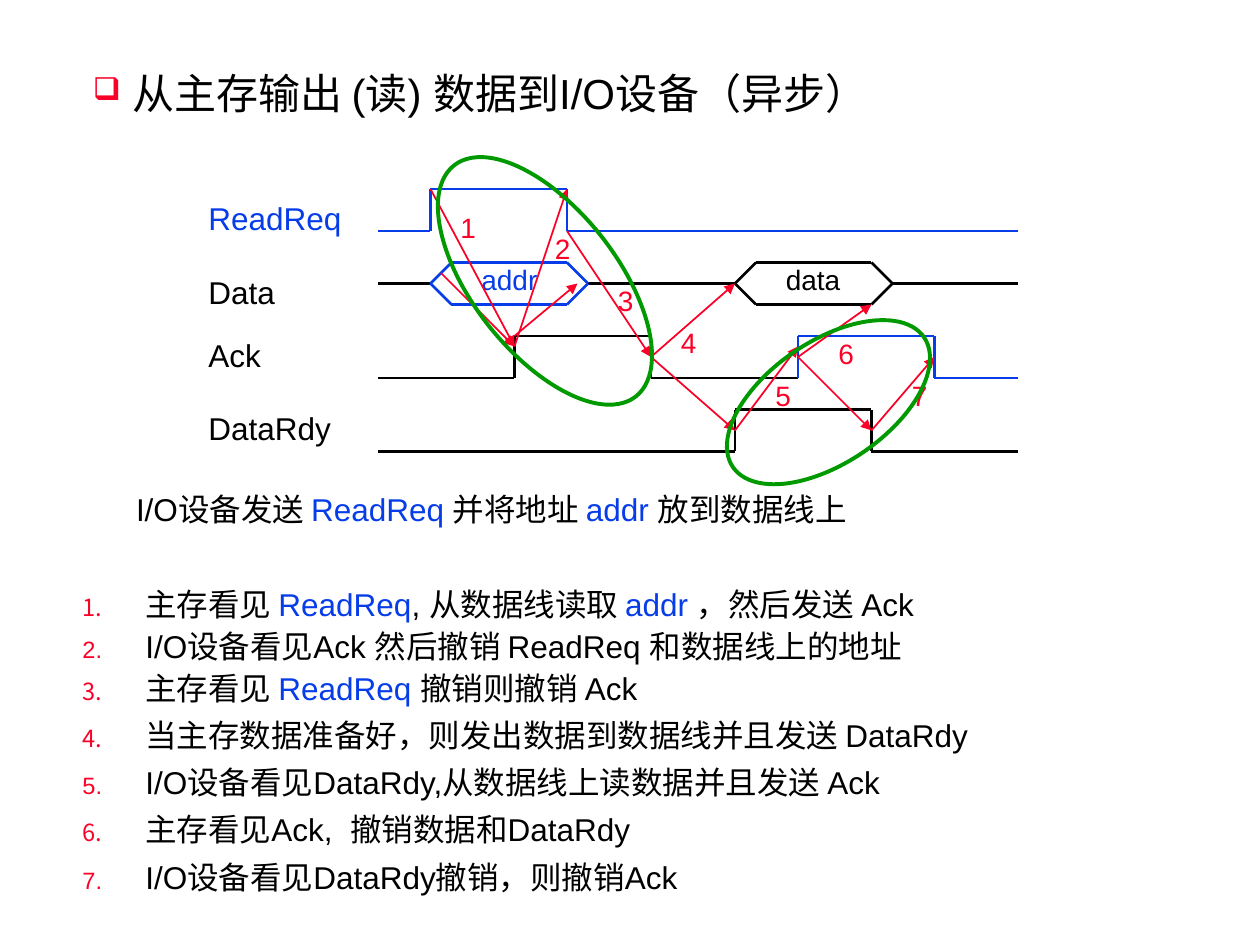
from itertools import pairwise

from pptx import Presentation
from pptx.dml.color import RGBColor
from pptx.enum.shapes import MSO_CONNECTOR as CONN, MSO_SHAPE as SHAPE
from pptx.enum.text import MSO_ANCHOR as ANCHOR, MSO_AUTO_SIZE as FIT, PP_ALIGN as ALIGN
from pptx.oxml.ns import qn
from pptx.util import Cm, Pt

COLORS = {"black": "000000", "blue": "063DE8", "red": "FC0128", "green": "009900"}


def rgb(name):
    return RGBColor.from_string(COLORS[name])


def u(n):
    """The slide is laid out on a grid of 12 units to the inch."""
    return Cm(n * 2.54 / 12)


def add_sub(parent, tag, **attrs):
    el = parent.makeelement(qn(tag), {k: str(v) for k, v in attrs.items()})
    parent.append(el)
    return el


def write(sp, text, size=18, color="black", spacing=0.9, indent=0, hang=0,
          bullet=None, start=None):
    """Fill a shape with text; a list holds strings and (string, color) pairs."""
    tf = sp.text_frame
    tf.word_wrap, tf.auto_size, tf.vertical_anchor = True, FIT.SHAPE_TO_FIT_TEXT, ANCHOR.TOP
    tf.margin_left = tf.margin_right = Cm(0.18)
    tf.margin_top = tf.margin_bottom = Cm(0.08)
    p = tf.paragraphs[0]
    p.alignment, p.line_spacing = ALIGN.LEFT, spacing
    for part in [text] if isinstance(text, str) else text:
        words, tint = (part, color) if isinstance(part, str) else part
        r = p.add_run()
        r.text = words
        r.font.name, r.font.size, r.font.color.rgb = "Arial", Pt(size), rgb(tint)
    pPr = p._p.get_or_add_pPr()
    pPr.set("marL", str(Cm(indent)))
    pPr.set("indent", str(-Cm(hang)))
    if bullet or start:
        add_sub(add_sub(pPr, "a:buClr"), "a:srgbClr", val=COLORS["red"])
        add_sub(pPr, "a:buSzPct", val=75000)
        if bullet:
            add_sub(pPr, "a:buChar", char=bullet)
        else:
            add_sub(pPr, "a:buAutoNum", type="arabicPeriod", startAt=start)


class Board:
    signal_width, arrow_width, ring_width = 1.5, 1, 2.25

    def __init__(self, slide):
        self.s = slide

    def title(self, text, x, y, w, h, **fmt):
        sp = self.s.shapes.title
        sp.left, sp.top, sp.width, sp.height = u(x), u(y), u(w), u(h)
        write(sp, text, **fmt)

    def text(self, text, x, y, w, h=3.6, **fmt):
        write(self.s.shapes.add_textbox(u(x), u(y), u(w), u(h)), text, **fmt)

    def line(self, start, end, color, width):
        ln = self.s.shapes.add_connector(CONN.STRAIGHT, *map(u, start + end))
        ln.line.color.rgb, ln.line.width = rgb(color), Pt(width)
        add_sub(ln._element.spPr, "a:effectLst")
        return ln

    def signal(self, color, *points):
        for start, end in pairwise(points):
            self.line(start, end, color, self.signal_width)

    def arrow(self, start, end):
        ln = self.line(start, end, "red", self.arrow_width)
        add_sub(ln.line._get_or_add_ln(), "a:tailEnd", type="triangle")

    def bus_value(self, text, x, color):
        """Six-sided data window, 15 units wide, on the Data line."""
        self.signal(color, (x, 27), (x + 2, 25), (x + 13, 25), (x + 15, 27),
                    (x + 13, 29), (x + 2, 29), (x, 27))
        self.text(text, x + 4, 25, 8, size=16, color=color)

    def ring(self, x, y, w, h, angle):
        sp = self.s.shapes.add_shape(SHAPE.OVAL, u(x), u(y), u(w), u(h))
        sp.shadow.inherit = False
        sp.fill.background()
        sp.line.color.rgb, sp.line.width = rgb("green"), Pt(self.ring_width)
        sp.rotation = angle


prs = Presentation()
prs.slide_width, prs.slide_height = Cm(25.4), Cm(19.05)
board = Board(prs.slides.add_slide(prs.slide_layouts[5]))

board.title("从主存输出 (读) 数据到I/O设备（异步）", 8, 6.6, 103, 5,
            size=24, indent=0.79, hang=0.79, bullet="❑")

# Signal names
for name, y, color in [("ReadReq", 19, "blue"), ("Data", 26, "black"),
                       ("Ack", 32, "black"), ("DataRdy", 39, "black")]:
    board.text(name, 19, y, 15, 4, color=color)

# Waveforms
board.signal("blue", (36, 22), (41, 22), (41, 18), (54, 18), (54, 22), (97, 22))
for left, right in [(36, 41), (56, 70), (85, 97)]:
    board.signal("black", (left, 27), (right, 27))
board.bus_value("addr", 41, "blue")
board.bus_value("data", 70, "black")
board.signal("black", (36, 36), (49, 36), (49, 32), (62, 32), (62, 36), (76, 36))
board.signal("blue", (76, 36), (76, 32), (89, 32), (89, 36), (97, 36))
board.signal("black", (36, 43), (70, 43), (70, 39), (83, 39), (83, 43), (97, 43))

# Handshake steps: label position, then arrows
HANDSHAKE = [
    ((43, 20), ((41, 18), (49, 33)), ((42, 26), (49, 33))),
    ((52, 22), ((49, 33), (54, 18)), ((49, 32), (55, 27))),
    ((58, 27), ((54, 22), (62, 34))),
    ((64, 31), ((62, 34), (70, 27)), ((62, 34), (70, 41))),
    ((73, 36), ((70, 41), (76, 33))),
    ((79, 32), ((76, 34), (83, 41)), ((76, 34), (83, 29))),
    ((86, 36), ((83, 41), (89, 34))),
]
for number, (label, *arrows) in enumerate(HANDSHAKE, 1):
    for start, end in arrows:
        board.arrow(start, end)
    board.text(str(number), *label, 4, size=16, color="red")

# Explanation
board.text(["I/O设备发送 ", ("ReadReq ", "blue"), "并将地址 ", ("addr ", "blue"),
            "放到数据线上"], 7, 47, 106, spacing=0.8, indent=1.08)
STEPS = [
    (56, ["主存看见 ", ("ReadReq", "blue"), ", 从数据线读取 ", ("addr ", "blue"),
          "，然后发送 Ack"]),
    (60, "I/O设备看见Ack 然后撤销 ReadReq 和数据线上的地址"),
    (64, ["主存看见 ", ("ReadReq ", "blue"), "撤销则撤销 Ack"]),
    (68.5, "当主存数据准备好，则发出数据到数据线并且发送 DataRdy"),
    (73, "I/O设备看见DataRdy,从数据线上读数据并且发送 Ack"),
    (77.5, "主存看见Ack,  撤销数据和DataRdy"),
    (82, "I/O设备看见DataRdy撤销，则撤销Ack"),
]
for number, (y, text) in enumerate(STEPS, 1):
    board.text(text, 7, y, 108, spacing=0.8, indent=1.27, hang=1.27, start=number)

# Rings around the two handshakes
board.ring(37.9, 19.9, 28, 13.7, 51.8)
board.ring(67.9, 32.5, 22, 11.6, 145.9)

prs.save("out.pptx")
